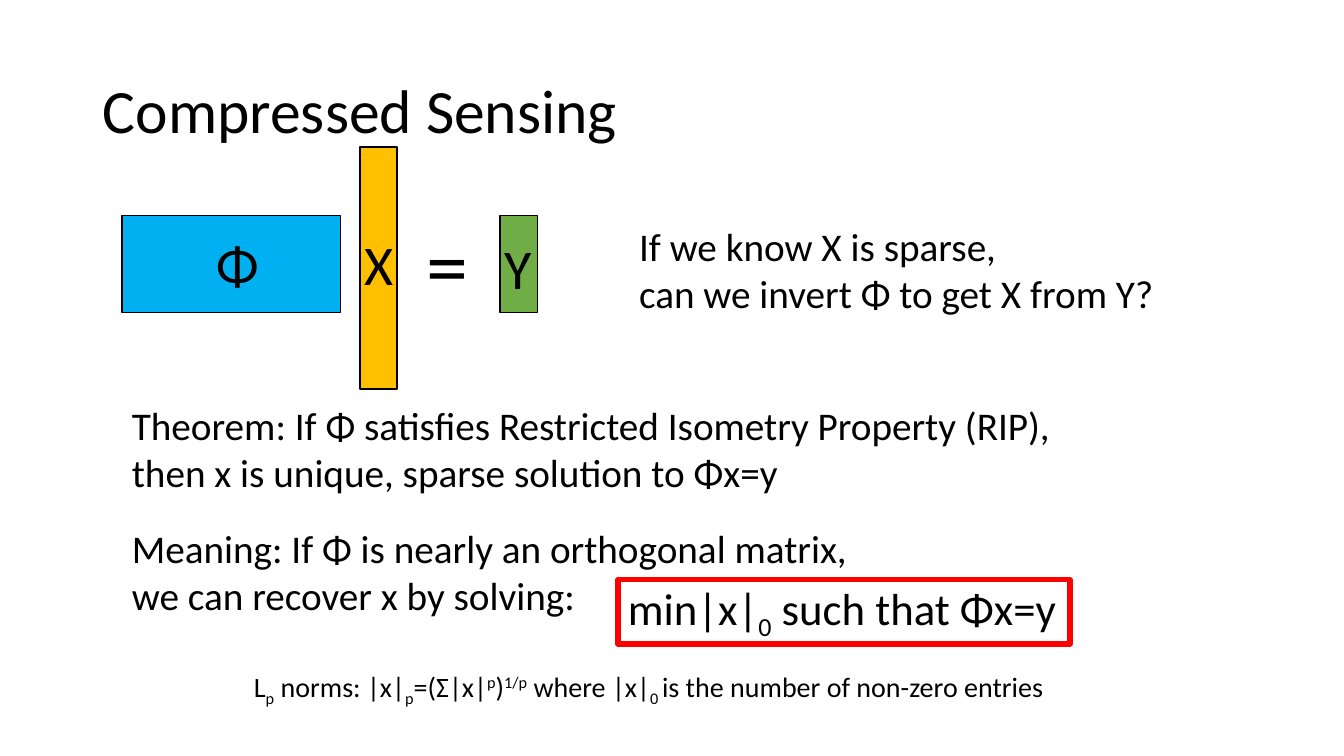
from pptx import Presentation
from pptx.dml.color import RGBColor
from pptx.enum.shapes import MSO_SHAPE
from pptx.enum.text import MSO_ANCHOR, PP_ALIGN
from pptx.util import Inches, Pt

RECT = MSO_SHAPE.RECTANGLE
LEFT = PP_ALIGN.LEFT
MIDDLE = MSO_ANCHOR.MIDDLE
FONT = "Calibri"
BLACK, RED = "000000", "FF0000"
BLUE, AMBER, GREEN = "00B0F0", "FFC000", "70AD47"
SUB, SUPER = -25, 30


def rgb(value):
    """Turn a hex string into a colour."""
    return RGBColor.from_string(value)


def add_run(p, text, size, base=0):
    """Add a run, raised or lowered by a percentage when base is set."""
    r = p.add_run()
    r.text = text
    r.font.name, r.font.size = FONT, Pt(size)
    r.font.color.rgb = rgb(BLACK)
    if base:
        r._r.get_or_add_rPr().set("baseline", str(base * 1000))


def add_text(s, box, paragraphs, size):
    """Add a text box whose paragraphs are lists of (text, base) runs."""
    tf = s.shapes.add_textbox(*map(Inches, box)).text_frame
    tf.word_wrap = True
    for i, runs in enumerate(paragraphs):
        p = tf.add_paragraph() if i else tf.paragraphs[0]
        for text, base in runs:
            add_run(p, text, size, base)


def add_lines(s, box, lines, size=28):
    """Add a text box of plain lines."""
    add_text(s, box, [[(line, 0)] for line in lines], size)


def add_rect(s, box, fill, line=BLACK, width=1):
    """Add an outlined rectangle, hollow when fill is None."""
    sp = s.shapes.add_shape(RECT, *map(Inches, box))
    sp.shadow.inherit = False
    if fill:
        sp.fill.solid()
        sp.fill.fore_color.rgb = rgb(fill)
    else:
        sp.fill.background()
    sp.line.color.rgb = rgb(line)
    sp.line.width = Pt(width)


def add_title(s, box, text):
    """Place and format the title placeholder."""
    title = s.shapes.title
    title.left, title.top, title.width, title.height = map(Inches, box)
    tf = title.text_frame
    tf.vertical_anchor = MIDDLE
    p = tf.paragraphs[0]
    p.alignment, p.line_spacing = LEFT, 0.9
    add_run(p, text, 44)


def add_equation(s, x, y):
    """Draw the matrix equation with its top left corner at x, y."""
    blocks = [
        (0, 0.68, 2.17, 0.96, BLUE),
        (2.36, 0, 0.37, 2.4, AMBER),
        (3.75, 0.68, 0.37, 0.96, GREEN),
    ]
    for dx, dy, w, h, fill in blocks:
        add_rect(s, (x + dx, y + dy, w, h), fill)
    labels = [
        ("=", 2.92, 0.6, 0.31, 1.11, 60),
        ("Y", 3.7, 0.81, 0.37, 0.77, 40),
        ("X", 2.31, 0.77, 0.37, 0.77, 40),
        ("Φ", 0.84, 0.77, 0.37, 0.77, 40),
    ]
    for text, dx, dy, w, h, size in labels:
        add_lines(s, (x + dx, y + dy, w, h), [text], size)


def add_statements(s, x, y):
    """Write the theorem and its meaning from x, y downwards."""
    add_lines(s, (x, y, 9.4, 1.04), [
        "Theorem: If Φ satisfies Restricted Isometry Property (RIP), "
        "then x is unique, sparse solution to Φx=y"])
    add_lines(s, (x, y + 1.22, 8.47, 1.51), [
        "Meaning: If Φ is nearly an orthogonal matrix,",
        "we can recover x by solving:"])


def add_objective(s, x, y):
    """Write the minimisation problem in its red frame."""
    add_text(s, (x, y, 4.84, 0.64),
             [[("min|x|", 0), ("0", SUB), (" such that Φx=y", 0)]], 32)
    add_rect(s, (x, y + 0.04, 4.48, 0.64), None, RED, 4)


def add_norm_note(s, box):
    """Write the definition of the norms."""
    add_text(s, box, [[
        ("L", 0), ("p", SUB), (" norms: |x|", 0), ("p", SUB),
        ("=(Ʃ|x|", 0), ("p", SUPER), (")", 0), ("1/p", SUPER),
        (" where |x|", 0), ("0 ", SUB),
        ("is the number of non-zero entries", 0)]], 20)


def main():
    """Build and save the slide."""
    prs = Presentation()
    prs.slide_width, prs.slide_height = Inches(13.33), Inches(7.5)
    s = prs.slides.add_slide(prs.slide_layouts[5])
    add_title(s, (0.92, 0.4, 11.5, 1.45), "Compressed Sensing")
    add_equation(s, 1.21, 1.46)
    add_lines(s, (6.24, 2.16, 5.58, 1.04), [
        "If we know X is sparse,", "can we invert Φ to get X from Y?"])
    add_statements(s, 1.21, 3.93)
    add_objective(s, 6.13, 5.71)
    add_norm_note(s, (2.42, 6.59, 9.4, 0.44))
    prs.save("out.pptx")


if __name__ == "__main__":
    main()
